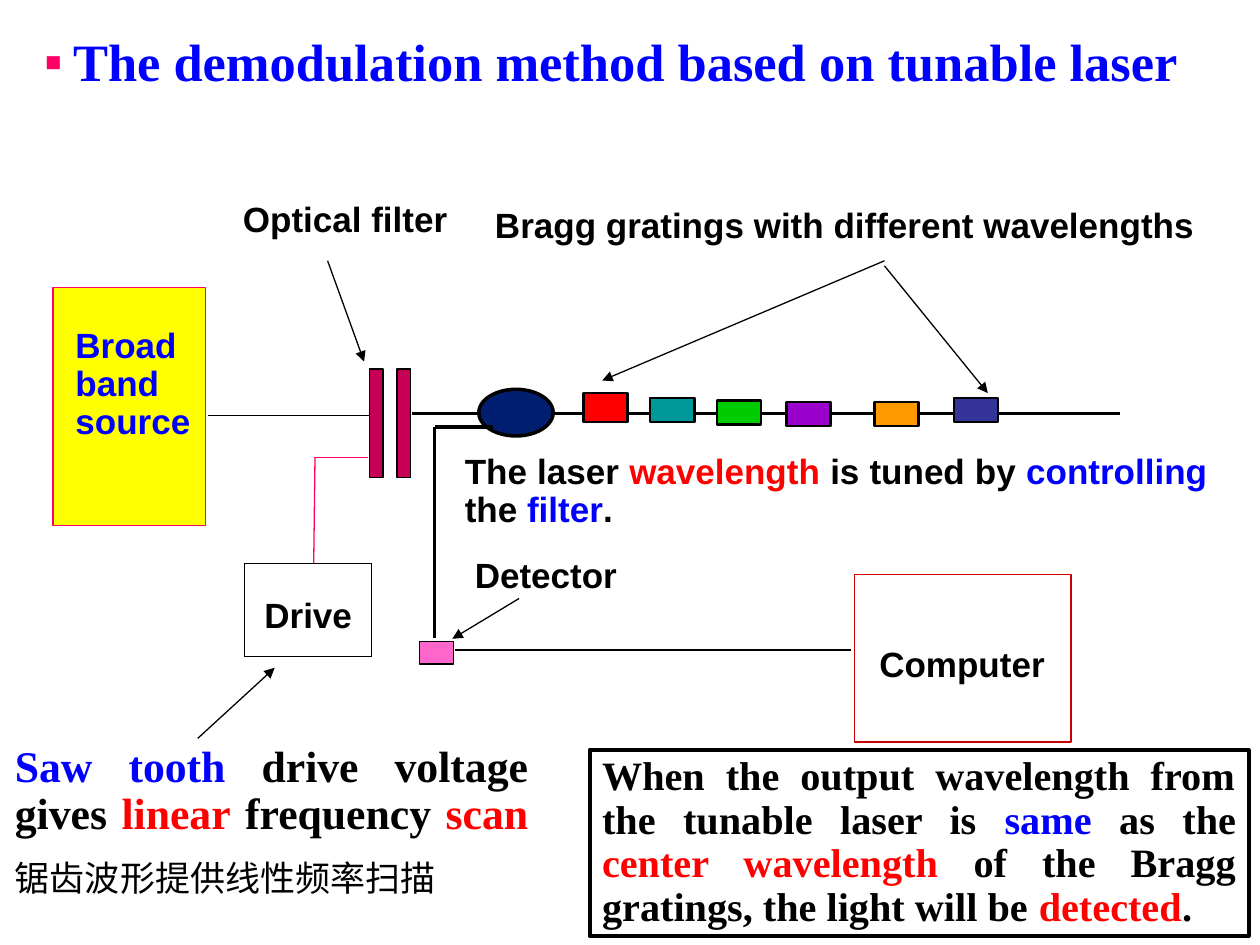
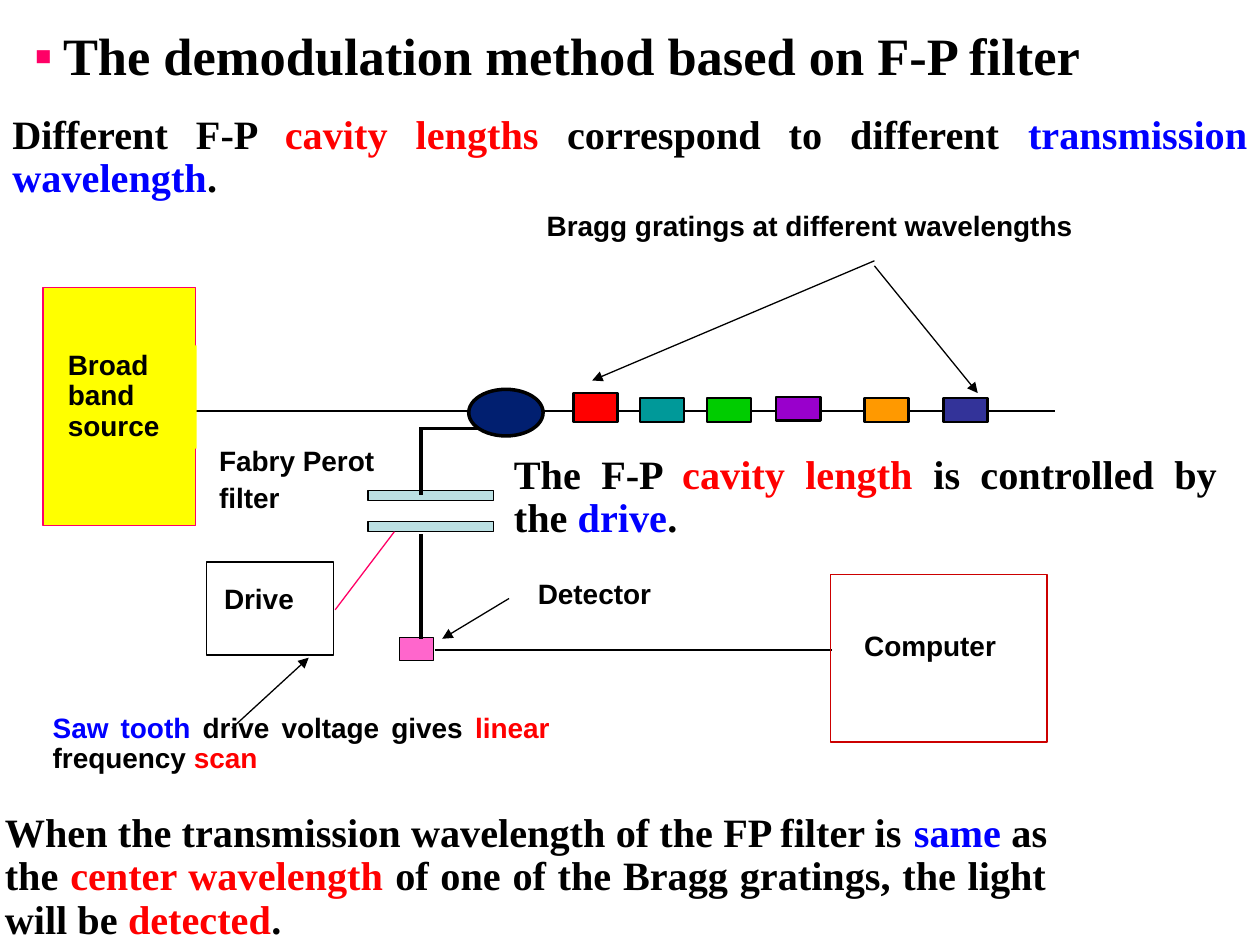
from pptx import Presentation, util as u
from pptx.dml.color import RGBColor
from pptx.enum import shapes, text
from pptx.oxml.ns import qn
from lxml import etree

BLACK, RED, BLUE, PINK = "000000", "FF0000", "0000FF", "FF0066"
CRIMSON, YELLOW = "CC0000", "FFFF00"
SANS, SERIF = "Arial", "Times New Roman"
GRATING_COLOURS = ["FF0000", "009999", "00CC00", "9900CC", "FF9900", "333399"]
GRATING_OFFSETS = [0.83, 1.36, 1.89, 2.44, 3.14, 3.77]
RECT, OVAL = shapes.MSO_SHAPE.RECTANGLE, shapes.MSO_SHAPE.OVAL


def rgb(colour):
    return RGBColor.from_string(colour)


def inches(values):
    return [u.Inches(round(value, 2)) for value in values]


def paint(shape, fill, line, weight):
    """Set fill and outline; None leaves either out."""
    if fill:
        shape.fill.solid()
        shape.fill.fore_color.rgb = rgb(fill)
    else:
        shape.fill.background()
    if line:
        shape.line.color.rgb = rgb(line)
        shape.line.width = u.Pt(weight)
    else:
        shape.line.fill.background()


def add_block(page, box, fill=None, line=BLACK, weight=0.75, kind=RECT):
    block = page.shapes.add_shape(kind, *inches(box))
    block.shadow.inherit = False
    paint(block, fill, line, weight)


def add_line(page, start, end, colour=BLACK, weight=0.75, arrow=False):
    wire = page.shapes.add_connector(
        shapes.MSO_CONNECTOR.STRAIGHT, *inches([*start, *end]))
    wire.line.color.rgb = rgb(colour)
    wire.line.width = u.Pt(weight)
    properties = wire._element.spPr
    if arrow:
        outline = properties.find(qn("a:ln"))
        etree.SubElement(outline, qn("a:tailEnd"), type="triangle")
    etree.SubElement(properties, qn("a:effectLst"))


def write(para, spans, size, font, bold=True, colour=BLACK):
    """Fill a paragraph with plain strings or (string, colour) pairs."""
    para.alignment = text.PP_ALIGN.JUSTIFY
    para.line_spacing = 0.9
    for item in spans:
        words, shade = (item, colour) if isinstance(item, str) else item
        span = para.add_run()
        span.text = words
        span.font.size = u.Pt(size)
        span.font.name = font
        span.font.bold = bold
        span.font.color.rgb = rgb(shade)


def add_text(page, box, *spans, size=20, font=SANS, colour=BLACK,
             fill=None, line=None, weight=2.25):
    label = page.shapes.add_textbox(*inches(box))
    paint(label, fill, line, weight)
    label.text_frame.word_wrap = True
    write(label.text_frame.paragraphs[0], spans, size, font, colour=colour)
    return label.text_frame


def add_title(page, left, top, words, colour):
    title = page.shapes.title
    title.left, title.top, title.width, title.height = inches(
        [left, top, 9.44, 0.55])
    frame = title.text_frame
    frame.word_wrap = True
    frame.auto_size = text.MSO_AUTO_SIZE.NONE
    frame.vertical_anchor = text.MSO_ANCHOR.TOP
    para = frame.paragraphs[0]
    # Square bullet with a hanging indent
    settings = para._p.get_or_add_pPr()
    settings.set("marL", str(u.Inches(0.23)))
    settings.set("indent", str(-u.Inches(0.23)))
    bullet_colour = etree.SubElement(settings, qn("a:buClr"))
    etree.SubElement(bullet_colour, qn("a:srgbClr"), val=PINK)
    etree.SubElement(settings, qn("a:buFont"), typeface=SANS)
    etree.SubElement(settings, qn("a:buChar"), char="▪")
    write(para, [words], 30, SERIF, colour=colour)


# Parts of the optical set-up

def draw_source(page, left, top, label_box, size, colour):
    add_block(page, (left, top, 1.21, 1.89), YELLOW, PINK)
    dx, dy, width, height = label_box
    add_text(page, (left + dx, top + dy, width, height), "Broad band source",
             size=size, colour=colour, fill=YELLOW)


def draw_gratings(page, left, top, grating_tops):
    """Coupler, row of gratings and the two arrows that point at it."""
    add_block(page, (left, top + 1.02, 0.59, 0.37), "011F70", weight=2, kind=OVAL)
    for i, colour in enumerate(GRATING_COLOURS):
        height = 0.23 if i == 0 else 0.19
        add_block(page, (left + GRATING_OFFSETS[i], grating_tops[i], 0.35, height),
                  colour, weight=1.5)
    add_line(page, (left + 3.22, top), (left + 0.98, top + 0.95), arrow=True)
    add_line(page, (left + 3.22, top + 0.04), (left + 4.04, top + 1.05), arrow=True)


def draw_drive(page, left, top, label_at, size, arrow_from):
    add_block(page, (left, top, 1.01, 0.74))
    add_text(page, (left + label_at[0], top + label_at[1], 1.2, 0.4), "Drive", size=size)
    x, y = left + arrow_from[0], top + arrow_from[1]
    add_line(page, (x, y), (x + 0.61, y - 0.56), arrow=True)


def draw_detector(page, left, top, label_at, size, arrow_tip, wire_end):
    add_block(page, (left, top, 0.27, 0.18), "FF66CC")
    add_text(page, (*label_at, 1.5, 0.4), "Detector", size=size)
    x, y = arrow_tip
    add_line(page, (x + 0.53, y - 0.32), arrow_tip, arrow=True)
    add_line(page, (left + 0.28, 5.16), (wire_end, 5.16))


def draw_computer(page, left, top, label_at, size):
    add_block(page, (left, top, 1.72, 1.33), line=CRIMSON)
    add_text(page, (left + label_at[0], top + label_at[1], 1.58, 0.4),
             "Computer", size=size)


# Slides

def build_tunable_laser(page):
    add_title(page, 0.25, 0.24, "The demodulation method based on tunable laser", BLUE)
    draw_source(page, 0.42, 2.28, (0.08, 0.28, 1.12, 1), 20, BLUE)
    add_line(page, (1.65, 3.3), (2.93, 3.3))

    # Optical filter
    add_text(page, (1.83, 1.56, 2.08, 0.4), "Optical filter")
    add_line(page, (2.6, 2.07), (2.89, 2.87), arrow=True)
    for left in (2.93, 3.15):
        add_block(page, (left, 2.93, 0.11, 0.86), "C60055")

    # Fibre with gratings
    add_text(page, (3.83, 1.6, 5.78, 0.4), "Bragg gratings with different wavelengths")
    add_line(page, (3.27, 3.28), (8.89, 3.28), weight=1.5)
    draw_gratings(page, 3.8, 2.07, [3.12, 3.16, 3.18, 3.19, 3.19, 3.16])
    add_line(page, (3.45, 5.06), (3.45, 3.39), weight=2)
    add_line(page, (3.45, 3.39), (3.91, 3.39), weight=2)

    # Drive, detector and computer
    draw_drive(page, 1.94, 4.47, (0.06, 0.23), 20, (-0.37, 1.39))
    add_line(page, (2.49, 4.47), (2.5, 3.63), PINK)
    add_line(page, (2.49, 3.63), (2.92, 3.63), PINK)
    draw_detector(page, 3.33, 5.09, (3.67, 4.38), 20, (3.59, 5.07), 6.75)
    draw_computer(page, 6.78, 4.56, (0.1, 0.53), 20)

    # Explanations
    frame = add_text(
        page, (0.02, 5.86, 4.27, 1.33), ("Saw tooth ", BLUE), "drive voltage gives ",
        ("linear", RED), " frequency ", ("scan ", RED), size=25, font=SERIF)
    chinese = frame.add_paragraph()
    chinese.space_before = u.Pt(12.5)
    write(chinese, ["锯齿波形提供线性频率扫描"], 20, SANS, bold=False)
    add_text(page, (3.59, 3.56, 6.09, 0.7), "The laser ", ("wavelength", RED),
             " is tuned by ", ("controlling", BLUE), " the", (" filter", BLUE), ".")
    add_text(page, (4.68, 5.95, 5.23, 1.48),
             "When the output wavelength from the tunable laser is ", ("same", BLUE),
             " as the ", ("center wavelength", RED),
             " of the Bragg gratings, the light will be ", ("detected", RED), ".",
             size=23, font=SERIF, line=BLACK)


def build_fp_filter(page):
    add_title(page, 0.17, 0.19, "The demodulation method based on F-P filter", BLACK)
    add_line(page, (8.37, 3.26), (1.54, 3.26), weight=1.25)
    draw_source(page, 0.34, 2.28, (0.1, 0.46, 1.12, 0.82), 16, BLACK)

    # Gratings
    add_text(page, (4.24, 1.64, 5.52, 0.34), "Bragg gratings at different wavelengths",
             size=16)
    draw_gratings(page, 3.72, 2.07, [3.12, 3.16, 3.16, 3.15, 3.16, 3.16])

    # Drive, detector and computer
    draw_drive(page, 1.64, 4.46, (0.04, 0.14), 16, (0.2, 1.32))
    draw_detector(page, 3.17, 5.06, (4.17, 4.56), 16, (3.51, 5.07), 6.6)
    draw_computer(page, 6.59, 4.56, (0.17, 0.41), 16)

    # Fabry Perot filter
    frame = add_text(page, (1.64, 3.5, 2.32, 0.64), "Fabry Perot", size=16)
    second = frame.add_paragraph()
    second.space_before = u.Pt(4)
    write(second, ["filter"], 16, SANS)
    for top in (3.89, 4.14):
        add_block(page, (2.92, top, 1, 0.08), "BBE0E3")
    add_line(page, (3.34, 3.4), (3.81, 3.4), weight=2)
    add_line(page, (3.34, 3.39), (3.34, 3.93), weight=2)
    add_line(page, (3.34, 5.07), (3.34, 4.24), weight=2.5)
    add_line(page, (2.66, 4.84), (3.13, 4.22), PINK)

    # Explanations
    add_text(page, (0.32, 5.62, 4.14, 0.58), ("Saw tooth ", BLUE), "drive voltage gives ",
             ("linear", RED), " frequency ", ("scan", RED), size=16)
    add_text(page, (3.98, 3.56, 5.78, 0.79), "The F-P ", ("cavity length ", RED),
             "is controlled by the ", ("drive", BLUE), ".", size=23, font=SERIF)
    add_text(page, (-0.06, 6.4, 8.47, 1.14),
             "When the transmission wavelength of the FP filter is ", ("same", BLUE),
             " as the ", ("center wavelength ", RED),
             "of one of the Bragg gratings, the light will be ", ("detected", RED), ".",
             size=23, font=SERIF)
    add_text(page, (0, 0.86, 10, 0.79), "Different F-P ", ("cavity lengths ", RED),
             "correspond to different ", ("transmission wavelength", BLUE), ".",
             size=23, font=SERIF)


def main():
    deck = Presentation()
    deck.slide_width, deck.slide_height = u.Inches(10), u.Inches(7.5)
    title_only = deck.slide_layouts[5]
    for build in (build_tunable_laser, build_fp_filter):
        build(deck.slides.add_slide(title_only))
    deck.save("out.pptx")


if __name__ == "__main__":
    main()
